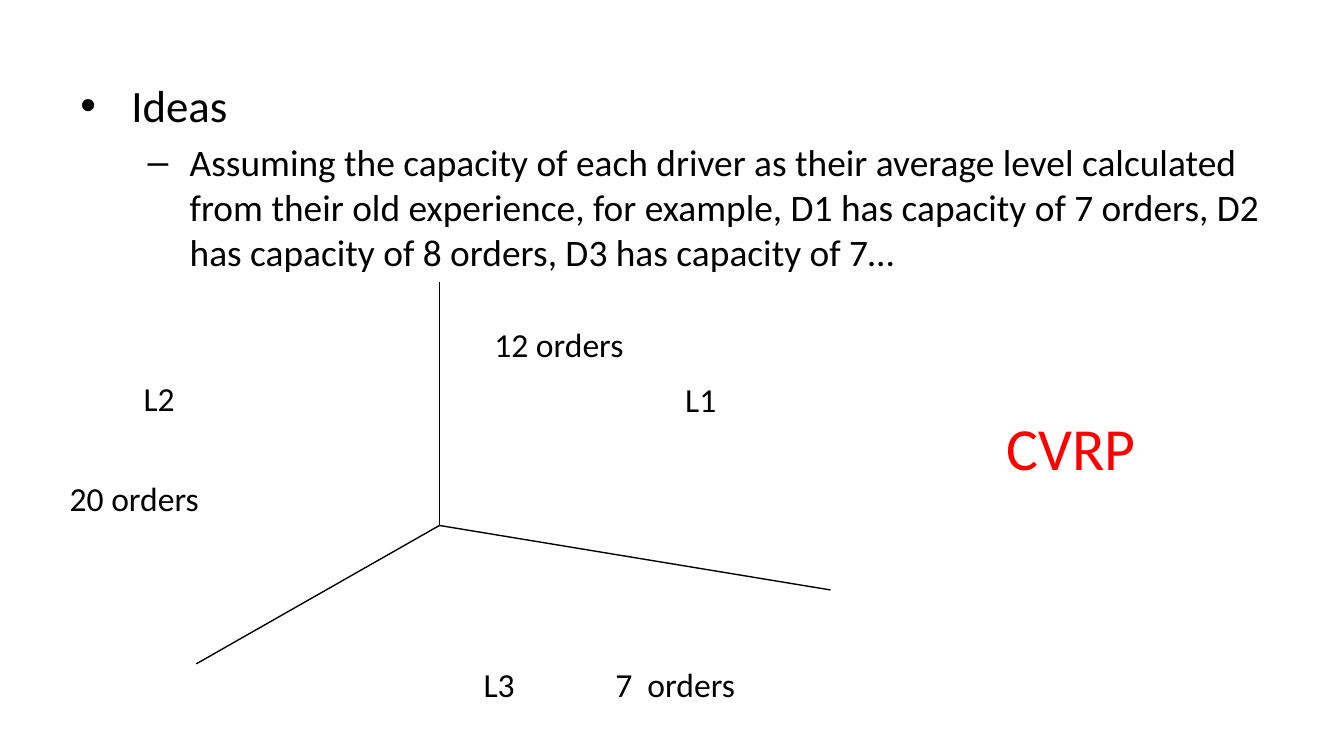
from dataclasses import dataclass

from lxml.etree import SubElement
from pptx import Presentation
from pptx.dml.color import RGBColor
from pptx.enum.shapes import MSO_CONNECTOR
from pptx.enum.text import MSO_AUTO_SIZE
from pptx.oxml.ns import qn
from pptx.util import Inches, Pt


@dataclass(frozen=True)
class Theme:
    font: str = "Calibri"
    ink: str = "000000"
    accent: str = "FF0000"
    head: int = 24
    body: int = 20
    label: int = 18
    big: int = 32
    line: float = 0.75


THEME = Theme()
COLS, ROWS = 100, 56.25
CELL = 0.1  # inches per column and per row


def grid(*cells):
    return [Inches(cell * CELL) for cell in cells]


def style(para, size, color):
    for run in para.runs:
        run.font.name = THEME.font
        run.font.size = Pt(size)
        run.font.color.rgb = RGBColor.from_string(color)


def add_label(slide, text, box, size=THEME.label, color=THEME.ink):
    frame = slide.shapes.add_textbox(*grid(*box)).text_frame
    frame.word_wrap = False
    frame.auto_size = MSO_AUTO_SIZE.SHAPE_TO_FIT_TEXT
    frame.text = text
    style(frame.paragraphs[0], size, color)


def set_bullet(para, mark, left, hang):
    """Give a paragraph a bullet; left and hang are in columns."""
    props = para._p.get_or_add_pPr()
    left, hang = grid(left, hang)
    props.set("marL", str(left))
    props.set("indent", str(-hang))
    SubElement(props, qn("a:buFont")).set("typeface", "Arial")
    SubElement(props, qn("a:buChar")).set("char", mark)


def add_list(slide, box, items):
    frame = slide.shapes.add_textbox(*grid(*box)).text_frame
    frame.word_wrap = True
    for i, (text, size, mark, left, hang) in enumerate(items):
        para = frame.add_paragraph() if i else frame.paragraphs[0]
        para.text = text
        para.level = i
        para.space_before = Pt(size * 0.2)
        set_bullet(para, mark, left, hang)
        style(para, size, THEME.ink)


def add_line(slide, start, end):
    line = slide.shapes.add_connector(
        MSO_CONNECTOR.STRAIGHT, *grid(*start), *grid(*end))
    line.line.color.rgb = RGBColor.from_string(THEME.ink)
    line.line.width = Pt(THEME.line)
    SubElement(line._element.spPr, qn("a:effectLst"))


def main():
    deck = Presentation()
    deck.slide_width, deck.slide_height = grid(COLS, ROWS)
    slide = deck.slides.add_slide(deck.slide_layouts[6])

    add_list(slide, (5, 5.3, 90, 52.8), [
        ("Ideas", THEME.head, "•", 3.8, 3.8),
        ("Assuming the capacity of each driver as their average level "
         "calculated from their old experience, for example, D1 has capacity "
         "of 7 orders, D2 has capacity of 8 orders, D3 has capacity of 7…",
         THEME.body, "–", 8.13, 3.13),
    ])

    hub = (32.7, 39.1)
    for end in ((32.7, 21), (14.6, 49.4), (61.8, 43.9)):
        add_line(slide, hub, end)

    zones = [
        ("L2", (9.7, 27.6), "20 orders", (4.2, 35.1)),
        ("L3", (35, 48.9), "7  orders", (44.8, 48.9)),
        ("L1", (50, 27.7), "12 orders", (35.8, 23.6)),
    ]
    for name, spot, load, place in zones:
        add_label(slide, name, (*spot, 4.8, 4))
        add_label(slide, load, (*place, 12.9, 4))
    add_label(slide, "CVRP", (73.9, 30.1, 13.1, 6.4), THEME.big, THEME.accent)

    deck.save("out.pptx")


if __name__ == "__main__":
    main()
